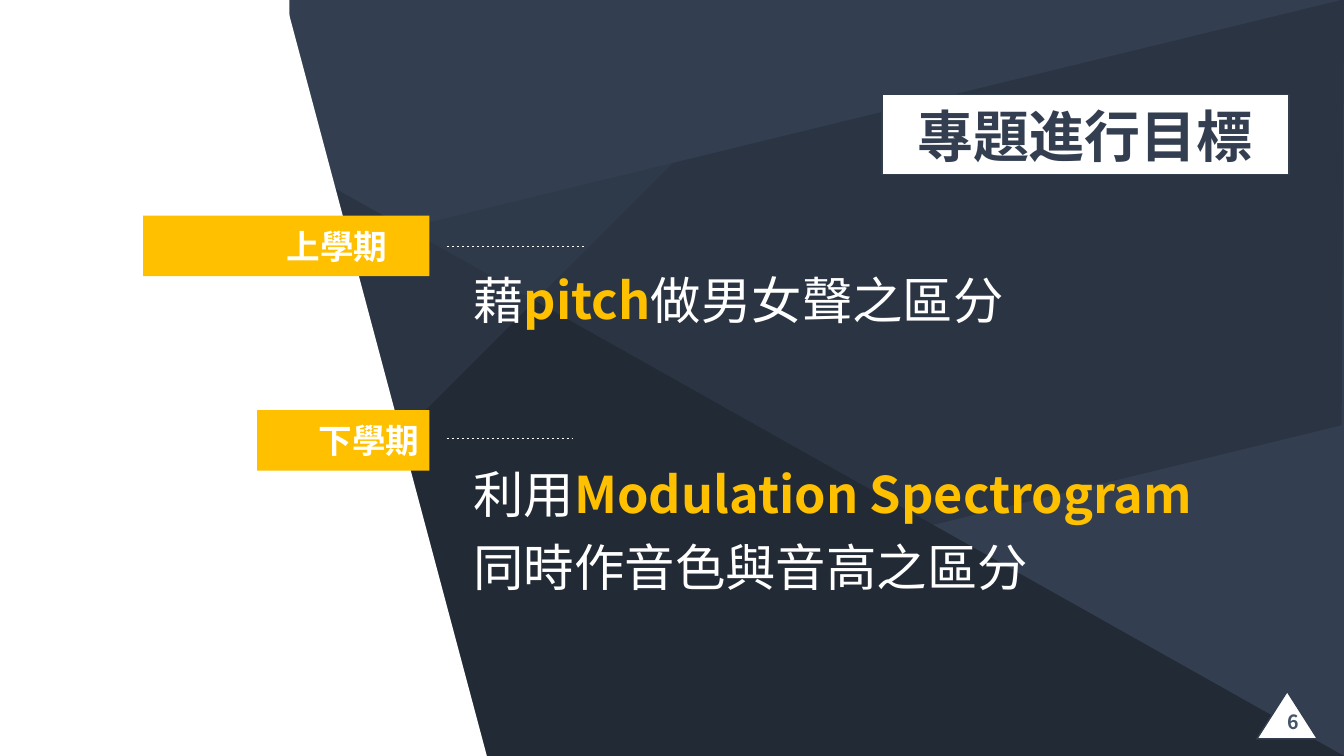
from dataclasses import dataclass
from typing import Optional

from lxml.etree import SubElement
from pptx import Presentation
from pptx.dml.color import RGBColor
from pptx.enum.dml import MSO_LINE
from pptx.enum.shapes import MSO_CONNECTOR, MSO_SHAPE
from pptx.enum.text import MSO_ANCHOR, PP_ALIGN
from pptx.oxml.ns import qn
from pptx.util import Pt

SLATE = RGBColor(0x33, 0x3F, 0x50)
NIGHT = RGBColor(0x22, 0x2A, 0x35)
OUTLINE = RGBColor(0x32, 0x3E, 0x4E)
NUMBER = RGBColor(0x44, 0x54, 0x6A)
AMBER = RGBColor(0xFF, 0xC0, 0x00)
WHITE = RGBColor(0xFF, 0xFF, 0xFF)

CJK_FONT = "Noto Sans CJK SC"
TAG_FONT = "Calibri"
TAG_RIGHT = 306.72
RULE_LEFT = 318.96
GOAL_LEFT = 331.2


@dataclass
class Panel:
    kind: MSO_SHAPE
    left: float
    top: float
    width: float
    height: float
    fill: RGBColor
    rotation: float = 0
    apex: Optional[float] = None
    opacity: int = 100
    outline: Optional[RGBColor] = None


@dataclass
class Span:
    text: str
    color: RGBColor
    bold: bool = False


@dataclass
class Label:
    left: float
    top: float
    width: float
    height: float
    size: float
    spans: list[Span]
    align: PP_ALIGN = PP_ALIGN.LEFT
    wrap: bool = True
    line_spacing: float = 1.0
    space_before: float = 0


@dataclass
class Term:
    name: str
    tag_top: float
    tag_width: float
    tag_inset: float
    rule_top: float
    rule_length: float
    goal: Label


BACKDROP = [
    Panel(MSO_SHAPE.ISOSCELES_TRIANGLE, 0, 0, 960, 540, NIGHT, apex=0),
    Panel(MSO_SHAPE.PARALLELOGRAM, -51.12, 120.96, 1061.28, 295.2, NIGHT,
          rotation=346.3, opacity=50),
    Panel(MSO_SHAPE.ISOSCELES_TRIANGLE, 84.96, -83.52, 389.52, 801.36, SLATE,
          rotation=199.1, apex=1, opacity=50),
    Panel(MSO_SHAPE.RECTANGLE, -1.44, 0, 208.08, 540, WHITE),
    Panel(MSO_SHAPE.ISOSCELES_TRIANGLE, 5.76, 198, 540, 144, WHITE,
          rotation=90, apex=1),
]

TERMS = [
    Term("上學期", 154.08, 204.48, 30, 175.68, 99.36,
         Label(GOAL_LEFT, 188.64, 540, 72.72, 36,
               [Span("藉", WHITE), Span("pitch", AMBER, True),
                Span("做男女聲之區分", WHITE)])),
    Term("下學期", 293.04, 123.12, 7.2, 313.2, 90,
         Label(GOAL_LEFT, 318.96, 535.68, 112.32, 36,
               [Span("利用", WHITE), Span("Modulation Spectrogram", AMBER, True),
                Span("同時作音色與音高之區分", WHITE)],
               line_spacing=1.2, space_before=10)),
]

TITLE_PLATE = Panel(MSO_SHAPE.RECTANGLE, 630, 67.68, 290.88, 56.88, WHITE,
                    outline=OUTLINE)
TITLE = Label(648, 69.12, 288.72, 55.44, 40, [Span("專題進行目標", SLATE, True)])
PAGE_PLATE = Panel(MSO_SHAPE.ISOSCELES_TRIANGLE, 897.84, 493.92, 43.2, 33.84,
                   WHITE, outline=OUTLINE)
PAGE_NUMBER = Label(912.5, 503.28, 16.56, 24.48, 14, [Span("6", NUMBER, True)],
                    align=PP_ALIGN.CENTER, wrap=False)


def draw_panel(slide, panel: Panel):
    shape = slide.shapes.add_shape(panel.kind, Pt(panel.left), Pt(panel.top),
                                   Pt(panel.width), Pt(panel.height))
    shape.shadow.inherit = False
    shape.rotation = panel.rotation
    if panel.apex is not None:
        shape.adjustments[0] = panel.apex
    shape.fill.solid()
    shape.fill.fore_color.rgb = panel.fill
    if panel.opacity < 100:
        color = shape.element.spPr.find(qn("a:solidFill")).find(qn("a:srgbClr"))
        SubElement(color, qn("a:alpha")).set("val", str(panel.opacity * 1000))
    if panel.outline is None:
        shape.line.fill.background()
    else:
        shape.line.color.rgb = panel.outline
        shape.line.width = Pt(1)
    return shape


def draw_label(slide, label: Label) -> None:
    box = slide.shapes.add_textbox(Pt(label.left), Pt(label.top),
                                   Pt(label.width), Pt(label.height))
    box.text_frame.word_wrap = label.wrap
    paragraph = box.text_frame.paragraphs[0]
    paragraph.alignment = label.align
    paragraph.line_spacing = label.line_spacing
    paragraph.space_before = Pt(label.space_before)
    paragraph.font.name = CJK_FONT
    paragraph.font.size = Pt(label.size)
    for span in label.spans:
        run = paragraph.add_run()
        run.text = span.text
        run.font.bold = span.bold
        run.font.color.rgb = span.color


def draw_tag(slide, term: Term) -> None:
    tag = draw_panel(slide, Panel(MSO_SHAPE.RECTANGLE, TAG_RIGHT - term.tag_width,
                                  term.tag_top, term.tag_width, 43.2, AMBER))
    frame = tag.text_frame
    frame.vertical_anchor = MSO_ANCHOR.MIDDLE
    frame.margin_right = Pt(term.tag_inset)
    paragraph = frame.paragraphs[0]
    paragraph.text = term.name
    paragraph.alignment = PP_ALIGN.RIGHT
    paragraph.font.name = TAG_FONT
    paragraph.font.size = Pt(24)
    paragraph.font.bold = True
    paragraph.font.color.rgb = WHITE


def draw_rule(slide, top: float, length: float) -> None:
    rule = slide.shapes.add_connector(MSO_CONNECTOR.STRAIGHT, Pt(RULE_LEFT), Pt(top),
                                      Pt(RULE_LEFT + length), Pt(top))
    rule.line.color.rgb = WHITE
    rule.line.width = Pt(0.5)
    rule.line.dash_style = MSO_LINE.DASH
    SubElement(rule.element.spPr, qn("a:effectLst"))


def main() -> None:
    deck = Presentation()
    deck.slide_width, deck.slide_height = Pt(960), Pt(540)
    slide = deck.slides.add_slide(deck.slide_layouts[6])

    # Faceted background
    slide.background.fill.solid()
    slide.background.fill.fore_color.rgb = SLATE
    for panel in BACKDROP:
        draw_panel(slide, panel)

    # Goals of each term
    for term in TERMS:
        draw_tag(slide, term)
        draw_label(slide, term.goal)
        draw_rule(slide, term.rule_top, term.rule_length)

    # Title and page number
    for plate, label in ((TITLE_PLATE, TITLE), (PAGE_PLATE, PAGE_NUMBER)):
        draw_panel(slide, plate)
        draw_label(slide, label)

    deck.save("out.pptx")


if __name__ == "__main__":
    main()
